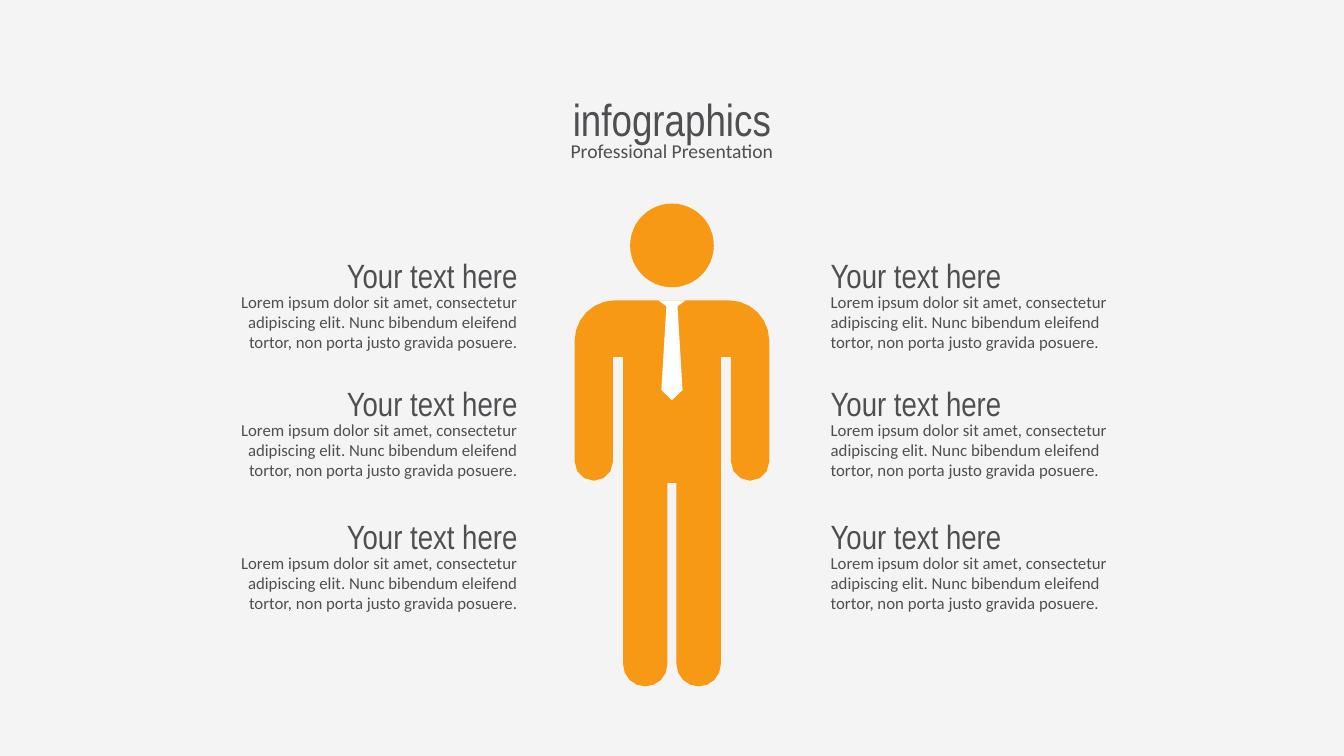
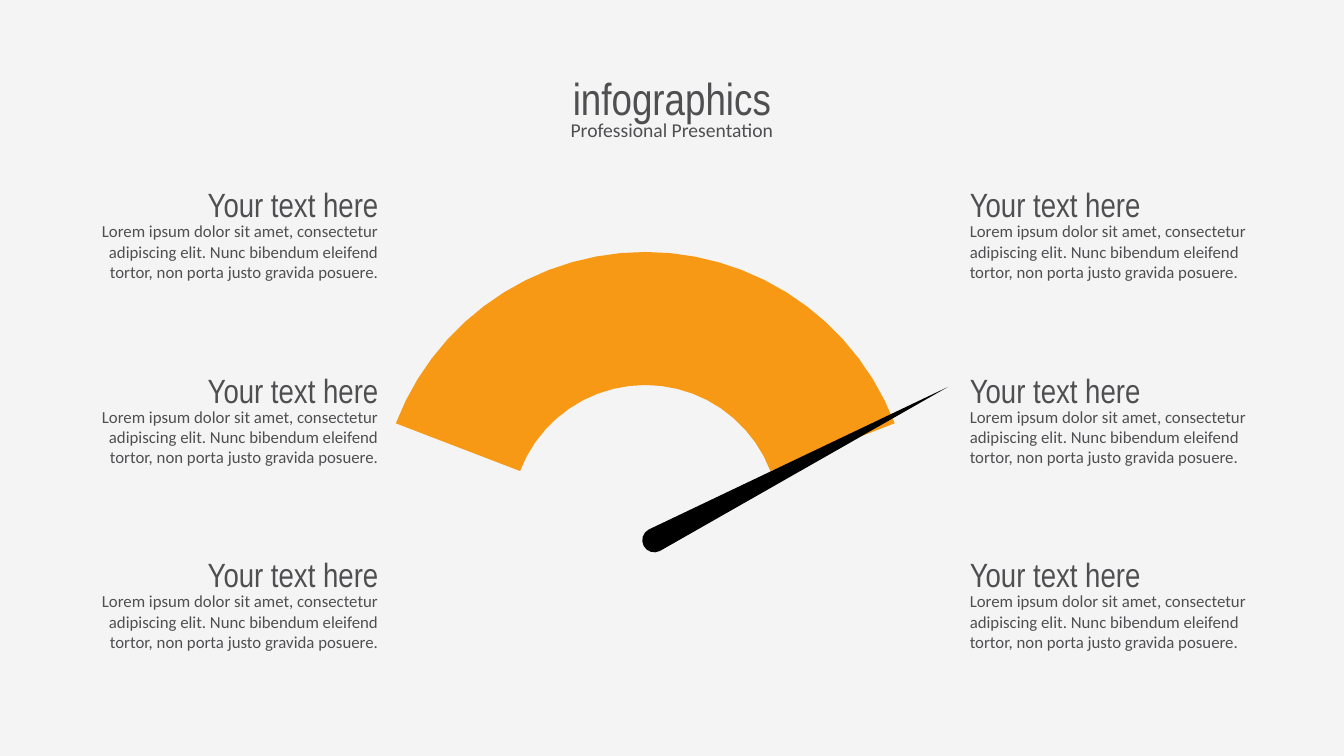
import math

from pptx import Presentation
from pptx import util as u
from pptx.dml.color import RGBColor
from pptx.enum import shapes, text

WIDTH, HEIGHT = 13.33, 7.5
AXIS = WIDTH / 2

BACKGROUND = RGBColor(0xF4, 0xF4, 0xF4)
INK = RGBColor(0x4F, 0x4F, 0x52)
ORANGE = RGBColor(0xF8, 0x99, 0x15)
WHITE = RGBColor(0xFF, 0xFF, 0xFF)
BLACK = RGBColor(0, 0, 0)

DISPLAY_FONT, BODY_FONT = "Arial Narrow", "Calibri"
LEFT, CENTER, RIGHT = text.PP_ALIGN.LEFT, text.PP_ALIGN.CENTER, text.PP_ALIGN.RIGHT

HEADING_LEFT, HEADING_WIDTH = 0.88, 11.57
COLUMN_WIDTH = 3.21
BODY_OFFSET = 0.365
BLOCK_TITLE = "Your text here"
BLOCK_BODY = ("Lorem ipsum dolor sit amet, consectetur adipiscing elit. "
              "Nunc bibendum eleifend tortor, non porta justo gravida posuere.")


def write_text(shape, content, font=BODY_FONT, size=12, align=LEFT, color=INK):
    frame = shape.text_frame
    frame.word_wrap = True
    frame.auto_size = text.MSO_AUTO_SIZE.SHAPE_TO_FIT_TEXT
    frame.vertical_anchor = text.MSO_ANCHOR.TOP
    paragraph = frame.paragraphs[0]
    paragraph.alignment = align
    run = paragraph.add_run()
    run.text = content
    run.font.name = font
    run.font.size = u.Pt(size)
    run.font.color.rgb = color


def add_text(slide, content, left, top, width, height, **text_format):
    box = slide.shapes.add_textbox(*map(u.Inches, (left, top, width, height)))
    write_text(box, content, **text_format)


def add_heading(slide, top):
    title = slide.shapes.title
    title.left, title.top = u.Inches(HEADING_LEFT), u.Inches(top)
    title.width, title.height = u.Inches(HEADING_WIDTH), u.Inches(0.64)
    write_text(title, "infographics", font=DISPLAY_FONT, size=32, align=CENTER)
    add_text(slide, "Professional Presentation", HEADING_LEFT, top + 0.47,
             HEADING_WIDTH, 0.34, size=14, align=CENTER)


def add_text_blocks(slide, left_column, right_column, row_tops):
    """Place a titled block in both columns of every row, aligned to the middle."""
    for top in row_tops:
        for left, align in ((left_column, RIGHT), (right_column, LEFT)):
            add_text(slide, BLOCK_TITLE, left, top, COLUMN_WIDTH, 0.5,
                     font=DISPLAY_FONT, size=24, align=align)
            add_text(slide, BLOCK_BODY, left, top + BODY_OFFSET,
                     COLUMN_WIDTH, 0.71, align=align)


def paint(shape, color):
    shape.fill.solid()
    shape.fill.fore_color.rgb = color
    shape.line.fill.background()
    shape.shadow.inherit = False


def add_outline(slide, points, color):
    corners = [(u.Inches(x), u.Inches(y)) for x, y in points]
    builder = slide.shapes.build_freeform(*corners[0])
    builder.add_line_segments(corners[1:], close=True)
    paint(builder.convert_to_shape(), color)


def arc(center, radius, start, end, segments):
    """Points on a circle; angles in degrees, counted anticlockwise from the right."""
    angles = [math.radians(start + (end - start) * step / segments)
              for step in range(segments + 1)]
    return [(center[0] + radius * math.cos(angle), center[1] - radius * math.sin(angle))
            for angle in angles]


def mirrored(right_half):
    """Complete an outline with its reflection in the slide's vertical axis."""
    return right_half + [(2 * AXIS - x, y) for x, y in reversed(right_half)]


def add_businessman(slide):
    shoulder = arc((7.23, 3.38), 0.4, 90, 0, 6)
    hand = arc((7.44, 4.58), 0.19, 0, -180, 6)
    armpit = [(7.25, 3.54), (7.15, 3.54)]
    foot = arc((6.93, 6.59), 0.22, 0, -180, 8)
    crotch = [(6.71, 4.79)]
    add_outline(slide, mirrored(shoulder + hand + armpit + foot + crotch), ORANGE)

    head = slide.shapes.add_shape(shapes.MSO_SHAPE.OVAL,
                                  *map(u.Inches, (6.25, 2.02, 0.83, 0.83)))
    paint(head, ORANGE)

    tie = [(6.8, 2.98), (6.72, 3.04), (6.77, 3.87), (AXIS, 3.97)]
    add_outline(slide, mirrored(tie), WHITE)


def add_gauge(slide):
    center, edge = (6.4, 5.15), 21
    outer = arc(center, 2.65, 180 - edge, edge, 26)
    inner = arc(center, 1.33, edge, 180 - edge, 20)
    add_outline(slide, outer + inner, ORANGE)

    hub, tip = (6.49, 5.36), (9.4, 3.84)
    heading = math.degrees(math.atan2(hub[1] - tip[1], tip[0] - hub[0]))
    add_outline(slide, [tip] + arc(hub, 0.12, heading - 90, heading - 270, 8), BLACK)


def main():
    presentation = Presentation()
    presentation.slide_width = u.Inches(WIDTH)
    presentation.slide_height = u.Inches(HEIGHT)
    background = presentation.slide_master.background.fill
    background.solid()
    background.fore_color.rgb = BACKGROUND
    title_only = presentation.slide_layouts.get_by_name("Title Only")

    slide = presentation.slides.add_slide(title_only)
    add_heading(slide, 0.86)
    add_businessman(slide)
    add_text_blocks(slide, 2.02, 8.14, (2.48, 3.75, 5.07))

    slide = presentation.slides.add_slide(title_only)
    add_heading(slide, 0.65)
    add_gauge(slide)
    add_text_blocks(slide, 0.64, 9.52, (1.78, 3.62, 5.45))

    presentation.save("out.pptx")


if __name__ == "__main__":
    main()
